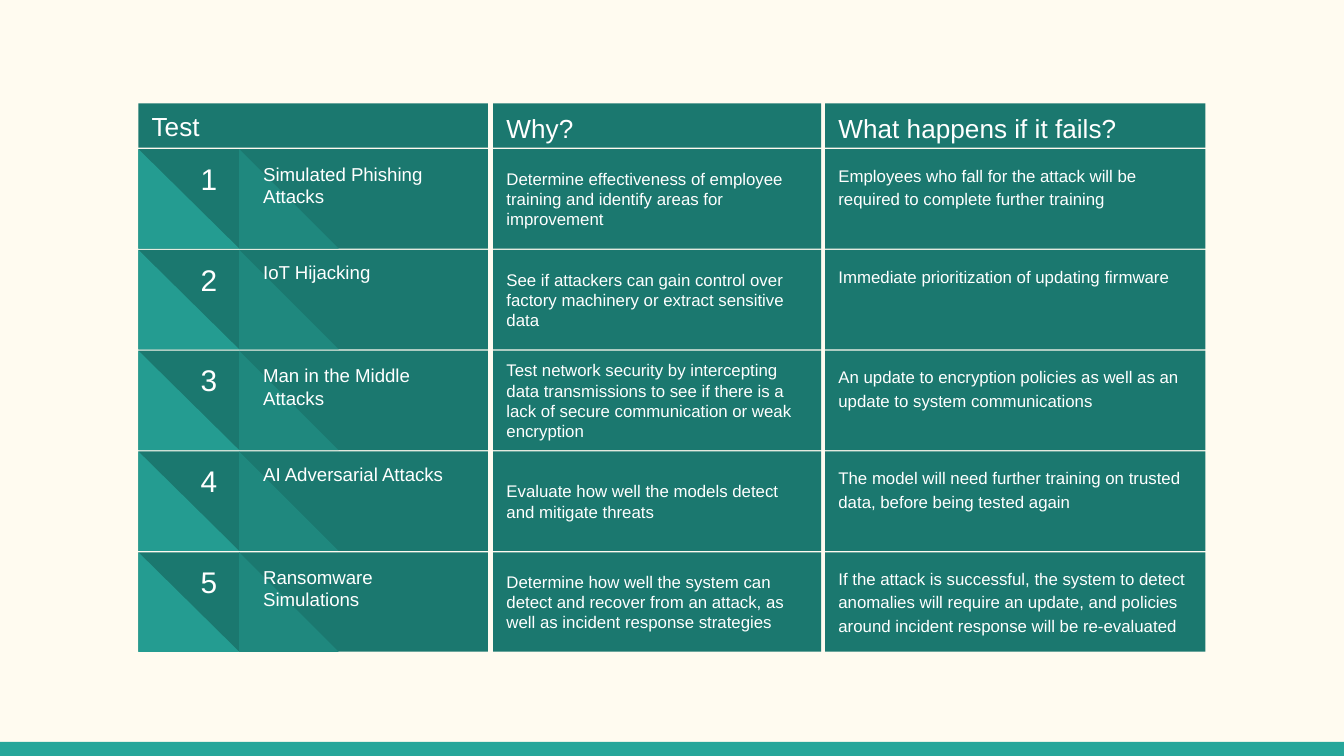
from pptx import Presentation
from pptx.dml.color import RGBColor
from pptx.enum.shapes import MSO_SHAPE
from pptx.enum.text import MSO_ANCHOR, PP_ALIGN
from pptx.util import Inches, Pt

RECT, TRIANGLE = MSO_SHAPE.RECTANGLE, MSO_SHAPE.RIGHT_TRIANGLE
TOP, MIDDLE, BOTTOM = MSO_ANCHOR.TOP, MSO_ANCHOR.MIDDLE, MSO_ANCHOR.BOTTOM
LEFT, CENTER = PP_ALIGN.LEFT, PP_ALIGN.CENTER

FONT = "Arial"
COLORS = {
    "background": "FFFBF0",
    "footer": "26A69A",
    "cell": "1B786F",
    "fold_light": "249C91",
    "fold_dark": "1F887E",
    "text": "FFFFFF",
}
COLUMNS = [(0, 2.6), (2.64, 2.44), (5.11, 2.83)]
HEADERS = [("Test", None), ("Why?", 1.15), ("What happens if it fails?", 1.15)]
TESTS = [
    ("Simulated Phishing Attacks",
     "Determine effectiveness of employee training and identify areas for improvement",
     "Employees who fall for the attack will be required to complete further training"),
    ("IoT Hijacking",
     "See if attackers can gain control over factory machinery or extract sensitive data",
     "Immediate prioritization of updating firmware"),
    ("Man in the Middle Attacks",
     "Test network security by intercepting data transmissions to see if there is "
     "a lack of secure communication or weak encryption",
     "An update to encryption policies as well as an update to system communications"),
    ("AI Adversarial Attacks",
     "Evaluate how well the models detect and mitigate threats",
     "The model will need further training on trusted data, before being tested again"),
    ("Ransomware Simulations",
     "Determine how well the system can detect and recover from an attack, "
     "as well as incident response strategies",
     "If the attack is successful, the system to detect anomalies will require an update, "
     "and policies around incident response will be re-evaluated"),
]


def rgb(name):
    return RGBColor.from_string(COLORS[name])


def add_block(shapes, kind, x, y, w, h, color):
    sp = shapes.add_shape(kind, Inches(x), Inches(y), Inches(w), Inches(h))
    sp.shadow.inherit = False
    sp.fill.solid()
    sp.fill.fore_color.rgb = rgb(color)
    sp.line.fill.background()
    return sp


def add_label(shapes, x, y, w, h):
    return shapes.add_textbox(Inches(x), Inches(y), Inches(w), Inches(h))


def set_text(sp, text, size, anchor=TOP, align=LEFT, spacing=None):
    tf = sp.text_frame
    tf.word_wrap = True
    tf.vertical_anchor = anchor
    tf.margin_left = tf.margin_right = tf.margin_top = tf.margin_bottom = Inches(0.1)
    p = tf.paragraphs[0]
    p.alignment = align
    p.line_spacing = spacing
    r = p.add_run()
    r.text = text
    r.font.size = Pt(size)
    r.font.name = FONT
    r.font.color.rgb = rgb("text")


def add_header(shapes, x, y, h):
    for (dx, w), (text, spacing) in zip(COLUMNS, HEADERS):
        sp = add_block(shapes, RECT, x + dx, y, w, h, "cell")
        set_text(sp, text, 14, MIDDLE, spacing=spacing)


def add_test_row(shapes, x, y, h, number, test):
    name, reason, outcome = test
    row = shapes.add_group_shape().shapes
    (name_x, name_w), (reason_x, reason_w), (outcome_x, outcome_w) = COLUMNS
    sp = add_block(row, RECT, x + outcome_x, y, outcome_w, h, "cell")
    set_text(sp, outcome, 9, spacing=1.15)
    add_block(row, RECT, x + name_x, y, name_w, h, "cell")
    add_block(row, TRIANGLE, x + 0.75, y, 0.74, h, "fold_dark")
    add_block(row, TRIANGLE, x, y, 0.75, h, "fold_light")
    sp = add_block(row, RECT, x + reason_x, y, reason_w, h, "cell")
    set_text(sp, reason, 9, MIDDLE)
    set_text(add_label(row, x + 0.29, y, 0.47, 0.45), str(number), 16, BOTTOM, CENTER)
    set_text(add_label(row, x + 0.83, y, 1.63, h), name, 10)


def add_test_grid(shapes, x, y):
    add_header(shapes, x, y, 0.33)
    for i, test in enumerate(TESTS):
        add_test_row(shapes, x, y + 0.34 + i * 0.75, 0.74, i + 1, test)


def main():
    prs = Presentation()
    prs.slide_width = Inches(10)
    prs.slide_height = prs.slide_width * 9 // 16
    s = prs.slides.add_slide(prs.slide_layouts[6])
    s.background.fill.solid()
    s.background.fill.fore_color.rgb = rgb("background")
    add_block(s.shapes, RECT, 0, 5.52, 10, 0.11, "footer")
    add_test_grid(s.shapes, 1.03, 0.77)
    prs.save("out.pptx")


if __name__ == "__main__":
    main()
